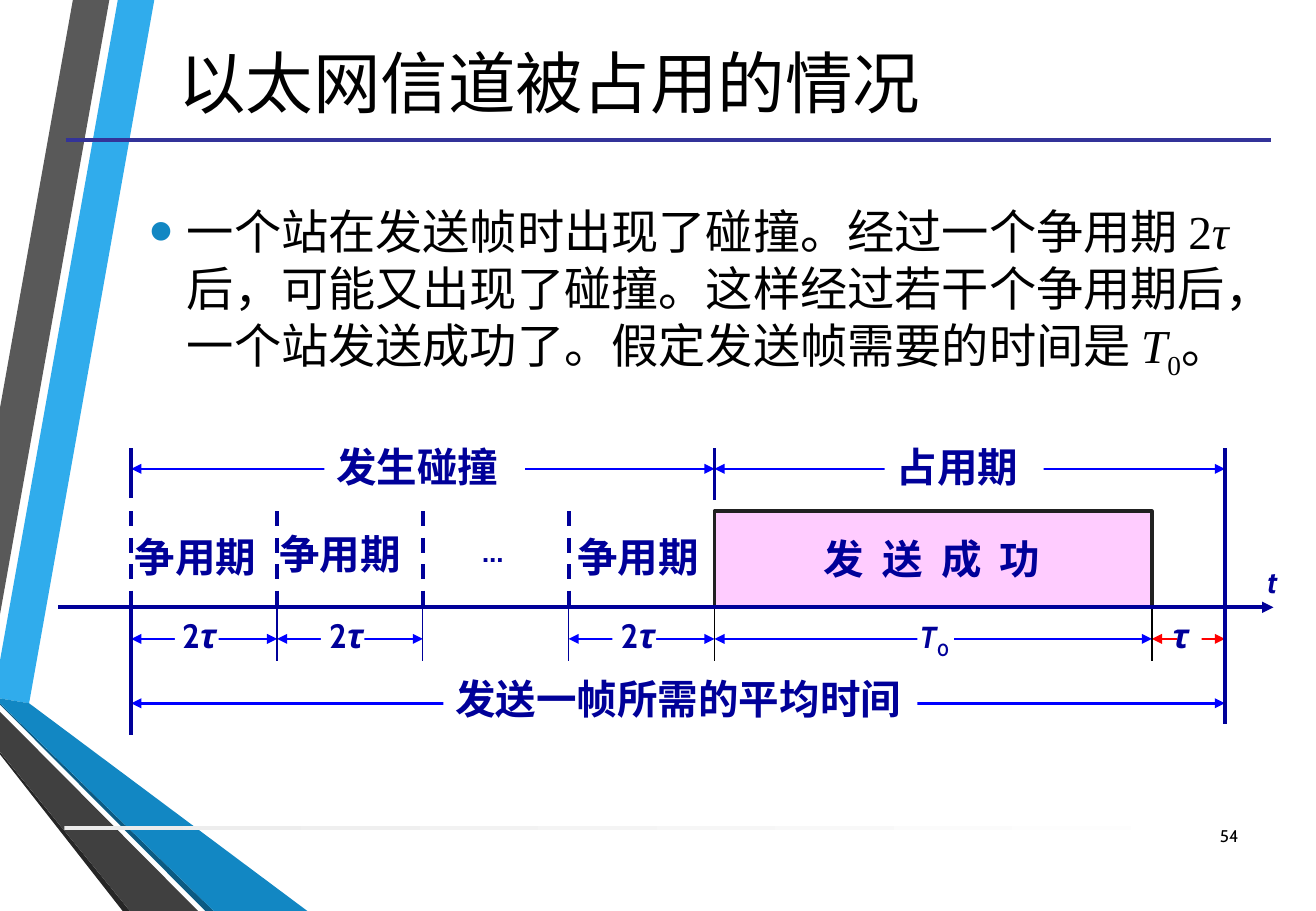
import pptx
import pptx.util
import pptx.dml.color
import pptx.enum.dml
import pptx.enum.shapes
import pptx.enum.text
import pptx.oxml.ns
import lxml.etree

PX = 9144
COLORS = {
    "sky": "30ACEC", "grey": "595959", "black": "000000", "night": "262626",
    "teal": "0C5A82", "blue": "1287C3", "coal": "404040", "rule": "333399",
    "silver": "EBEBEB", "white": "FFFFFF", "navy": "000099", "span": "0000FF",
    "red": "FF0000", "pink": "FFCCFF", "frame": "212121",
}
RIBBONS = [
    ("sky", [(0, 544), (0, 575), (24, 579), (127, 0), (97, 0)]),
    ("grey", [(90, 0), (60, 0), (0, 336), (0, 506)]),
    ("night", [(0, 619), (0, 621), (101, 750), (107, 750)]),
    ("teal", [(0, 579), (0, 580), (169, 750), (176, 750)]),
    ("blue", [(0, 579), (176, 750), (253, 750), (24, 579), (0, 575)]),
    ("coal", [(0, 619), (107, 750), (163, 750), (0, 586)]),
]
ALIGN = pptx.enum.text.PP_ALIGN
MIDDLE = pptx.enum.text.MSO_ANCHOR.MIDDLE


def rgb(name):
    """Return the named colour."""
    return pptx.dml.color.RGBColor.from_string(COLORS[name])


def add_element(parent, tag, **attributes):
    """Append a drawing element with the given attributes."""
    element = lxml.etree.SubElement(parent, pptx.oxml.ns.qn(tag))
    for name, value in attributes.items():
        element.set(name, value)
    return element


def add_line(page, start, end, color, width=2.25, dashed=False, heads=()):
    """Draw a straight line, with optional dashes and arrowheads."""
    line = page.shapes.add_connector(
        pptx.enum.shapes.MSO_CONNECTOR.STRAIGHT, *(PX * value for value in start + end))
    line.line.color.rgb = rgb(color)
    line.line.width = pptx.util.Pt(width)
    if dashed:
        line.line.dash_style = pptx.enum.dml.MSO_LINE.DASH
    for head in heads:
        add_element(line.line._get_or_add_ln(), head, type="triangle")
    add_element(line._element.spPr, "a:effectLst")


def add_outline(page, points, fill, border=None, closed=True):
    """Draw a filled outline through the points."""
    builder = page.shapes.build_freeform(*points[0], scale=PX)
    builder.add_line_segments(points[1:], close=closed)
    shape = builder.convert_to_shape()
    shape.shadow.inherit = False
    shape.fill.solid()
    shape.fill.fore_color.rgb = rgb(fill)
    if border:
        shape.line.color.rgb = rgb(border)
        shape.line.width = pptx.util.Pt(2.25)
    else:
        shape.line.fill.background()


def add_rectangle(page, box):
    """Draw a white rectangle without a border."""
    shape = page.shapes.add_shape(
        pptx.enum.shapes.MSO_SHAPE.RECTANGLE, *(PX * value for value in box))
    shape.shadow.inherit = False
    shape.fill.solid()
    shape.fill.fore_color.rgb = rgb("white")
    shape.line.fill.background()
    return shape


def add_spans(para, spans, color, **style):
    """Add runs, each a text with its own format values."""
    for text, extra in spans:
        span = para.add_run()
        span.text = text
        formats = {"name": "Cabin", **style, **extra}
        properties = span._r.get_or_add_rPr()
        for name in ("baseline", "spc"):
            if name in formats:
                properties.set(name, str(formats.pop(name)))
        formats["size"] = pptx.util.Pt(formats["size"])
        for name, value in formats.items():
            setattr(span.font, name, value)
        span.font.color.rgb = rgb(color)


def add_text(page, box, wrap=True, anchor=MIDDLE, align=ALIGN.LEFT):
    """Add a text box and return it with its first paragraph."""
    shape = page.shapes.add_textbox(*(PX * value for value in box))
    frame = shape.text_frame
    frame.word_wrap = wrap
    frame.vertical_anchor = anchor
    frame.paragraphs[0].alignment = align
    return shape, frame.paragraphs[0]


def add_label(page, box, spans, size=24, filled=False, **style):
    """Add a bold navy label on one line."""
    shape, para = add_text(page, box, False, pptx.enum.text.MSO_ANCHOR.TOP)
    shape.text_frame.auto_size = pptx.enum.text.MSO_AUTO_SIZE.SHAPE_TO_FIT_TEXT
    if filled:
        shape.fill.solid()
        shape.fill.fore_color.rgb = rgb("white")
    add_spans(para, spans, "navy", size=size, bold=True, **style)


def draw_backdrop(page):
    """Draw the ribbons and the two rules of the page."""
    for color, points in RIBBONS:
        add_outline(page, points, color)
    footer = add_rectangle(page, (53, 680, 975, 3))
    footer.fill.gradient()
    footer.fill.gradient_angle = 0
    for stop, (place, color) in zip(footer.fill.gradient_stops, [(0, "silver"), (1, "white")]):
        stop.position = place
        stop.color.rgb = rgb(color)
    add_line(page, (54, 115), (1046, 115), "rule")


def draw_title(page, box):
    """Write the heading."""
    para = add_text(page, box, align=ALIGN.CENTER)[1]
    add_spans(para, [("以太网信道被占用的情况", {})], "black", size=40)


def draw_body(page, box):
    """Write the bulleted explanation."""
    para = add_text(page, box)[1]
    properties = para._p.get_or_add_pPr()
    properties.set("marL", str(31 * PX))
    properties.set("indent", str(-31 * PX))
    add_element(add_element(properties, "a:buClr"), "a:srgbClr", val=COLORS["blue"])
    add_element(properties, "a:buSzPct", val="145000")
    add_element(properties, "a:buFont", typeface="Arial")
    add_element(properties, "a:buChar", char="•")
    add_spans(para, [
        ("一个站在发送帧时出现了碰撞。经过一个争用期 2", {}),
        ("τ ", {"italic": True}),
        ("后，可能又出现了碰撞。这样经过若干个争用期后，一个站发送成功了。假定发送帧需要的时间是 ", {}),
        ("T", {"italic": True}),
        ("0", {"baseline": -25000}),
        ("。", {"name": "Cabin"}),
    ], "black", size=28, name="Times New Roman")


def draw_timeline(page, box):
    """Draw the channel timeline with its spans, slots and labels."""
    left, top, width, height = box
    tau = width // 15
    slots = [left + 2 * tau * index for index in range(5)]
    start, sent, end = slots[4], left + 14 * tau, left + width
    axis, size_row, slot_top = top + 131, top + 157, top + 52
    both = ("a:headEnd", "a:tailEnd")
    spans = [
        (left, end, top + 210, "span"), (left, start, top + 17, "span"),
        (start, end, top + 17, "span"), (sent, end, size_row, "red"),
        (start, sent, size_row, "span"),
    ] + [(slots[index], slots[index] + 2 * tau, size_row, "span") for index in (0, 1, 3)]
    for begin, finish, row, color in spans:
        add_line(page, (begin, row), (finish, row), color, 1.5, heads=both)
    masks = [(sent + 21, 20, 23), (start + 167, 30, 35)]
    masks += [(slots[index] + 36, 36, 28) for index in (0, 1, 3)]
    for begin, wide, tall in masks:
        add_rectangle(page, (begin, top + 145, wide, tall))

    add_outline(page, [(start, axis), (start, slot_top), (sent, slot_top), (sent, axis)],
                "pink", "frame", closed=False)
    for place in slots[:4]:
        add_line(page, (place, slot_top), (place, axis), "navy", dashed=True)
    for place, color in zip(slots[1:] + [sent], ["navy"] * 3 + ["black"] * 2):
        add_line(page, (place, axis), (place, axis + 44), color, 0.75)
    for place, begin, finish in [(left, axis, top + height), (left, top, top + 41),
                                 (start, top, top + 43), (end, top, top + 227)]:
        add_line(page, (place, begin), (place, finish), "navy")

    for place, row in [(left - 7, 64), (left + 112, 62), (left + 357, 64)]:
        add_label(page, (place, top + row, 131, 50), [("争用期", {})])
    for place in (left + 32, left + 153, left + 393):
        add_label(page, (place, top + 132, 53, 44), [("2", {}), ("τ", {"italic": True})], 20)
    add_label(page, (start + 80, top + 66, 221, 50), [("发 送 成 功", {})], spc=270)
    add_label(page, (left + 279, top + 64, 45, 40), [("…", {})], 18)
    add_label(page, (start + 159, top + 135, 45, 40),
              [("T", {"italic": True}), ("0", {"baseline": -25000})], 18)
    add_label(page, (sent + 7, top + 132, 32, 44), [("τ", {})], 20, italic=True)
    add_label(page, (end + 25, top + 90, 29, 40), [("t", {})], 18, italic=True)
    for place, row, wide, text in [(start + 140, -10, 131, "占用期"),
                                   (left + 159, -10, 165, "发生碰撞"),
                                   (left + 257, 181, 390, "发送一帧所需的平均时间")]:
        add_label(page, (place, top + row, wide, 50), [(text, {})], filled=True)
    add_line(page, (left - 60, axis), (end + 40, axis), "navy", heads=both[1:])


def draw_page_number(page, box):
    """Write the page number."""
    para = add_text(page, box, align=ALIGN.RIGHT)[1]
    add_spans(para, [("54", {})], "black", size=10)


def main():
    """Build the deck and save it."""
    deck = pptx.Presentation()
    deck.slide_width, deck.slide_height = 1083 * PX, 750 * PX
    page = deck.slides.add_slide(deck.slide_layouts[6])
    draw_backdrop(page)
    draw_title(page, (43, 5, 818, 124))
    draw_body(page, (113, 115, 913, 250))
    draw_timeline(page, (108, 369, 900, 236))
    draw_page_number(page, (978, 668, 51, 40))
    deck.save("out.pptx")


if __name__ == "__main__":
    main()
